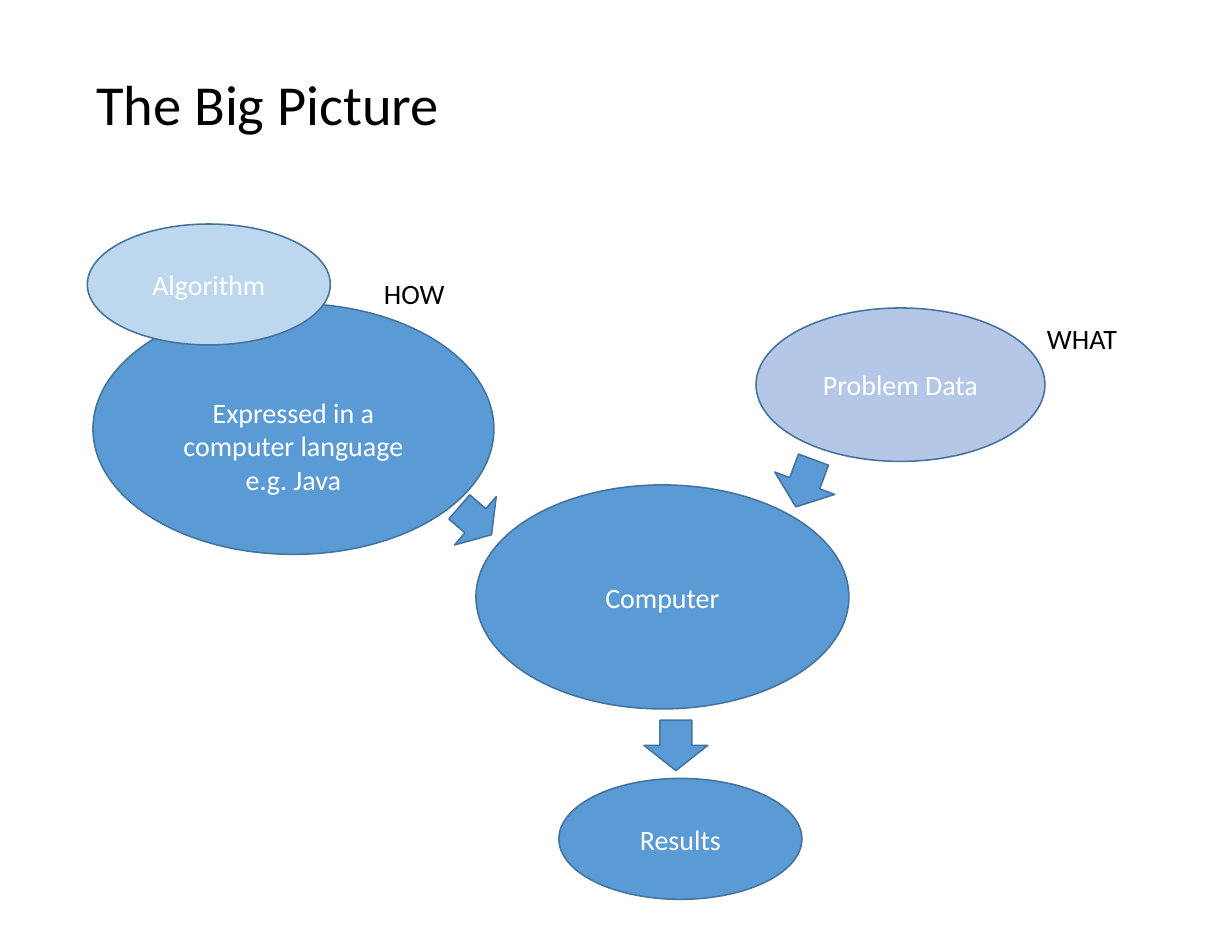
from pptx import Presentation
from pptx.dml.color import RGBColor
from pptx.enum.shapes import MSO_SHAPE as Shape
from pptx.enum.text import MSO_ANCHOR as Anchor, PP_ALIGN as Align
from pptx.util import Inches, Pt

BLUE, OUTLINE, WHITE, BLACK = "5B9BD5", "43739E", "FFFFFF", "000000"
TITLE = ("The Big Picture", (0.76, 0.45, 9.49, 1.02))
ELLIPSES = [
    ("Expressed in a computer language\ne.g. Java", (0.83, 2.71, 3.58, 2.24), BLUE, 0.35),
    ("Computer", (4.25, 4.33, 3.33, 2), BLUE, 0.05),
    ("Algorithm", (0.78, 2, 2.17, 1.08), "BDD7EE", 0.05),
    ("Problem Data", (6.75, 2.75, 2.58, 1.37), "B4C7E7", 0.05),
    ("Results", (4.99, 6.95, 2.17, 1.08), BLUE, 0.05),
]
ARROWS = [
    ((3.96, 4.46, 0.57, 0.38), 310.8),
    ((6.9, 4.09, 0.57, 0.45), 20.5),
    ((5.75, 6.43, 0.57, 0.45), 0),
]
LABELS = [
    ("HOW", (3.33, 2.42, 1.42, 0.4), True),
    ("WHAT", (9.25, 2.82, 0.83, 0.4), False),
]


def color(value):
    """Return the colour of a hex string."""
    return RGBColor.from_string(value)


def write(shape, text, size=18, fill=BLACK, align=Align.LEFT, anchor=Anchor.TOP,
          wrap=True, top=0.05, spacing=1.0):
    """Put formatted text into a shape."""
    frame = shape.text_frame
    frame.text = text
    frame.word_wrap = wrap
    frame.vertical_anchor = anchor
    frame.margin_top = Inches(top)
    for paragraph in frame.paragraphs:
        paragraph.alignment = align
        paragraph.line_spacing = spacing
        for run in paragraph.runs:
            run.font.name = "Calibri"
            run.font.size = Pt(size)
            run.font.color.rgb = color(fill)


def add_shape(slide, kind, box, fill):
    """Add a filled, outlined preset shape."""
    shape = slide.shapes.add_shape(kind, *map(Inches, box))
    shape.shadow.inherit = False
    shape.fill.solid()
    shape.fill.fore_color.rgb = color(fill)
    shape.line.color.rgb = color(OUTLINE)
    shape.line.width = Pt(1)
    return shape


presentation = Presentation()
presentation.slide_width, presentation.slide_height = Inches(11), Inches(8.5)
slide = presentation.slides.add_slide(presentation.slide_layouts[5])

title = slide.shapes.title
text, box = TITLE
title.left, title.top, title.width, title.height = map(Inches, box)
write(title, text, size=36.3, anchor=Anchor.MIDDLE, spacing=0.9)

for text, box, fill, top in ELLIPSES:
    ellipse = add_shape(slide, Shape.OVAL, box, fill)
    write(ellipse, text, fill=WHITE, align=Align.CENTER, anchor=Anchor.MIDDLE, top=top)

for box, angle in ARROWS:
    add_shape(slide, Shape.DOWN_ARROW, box, BLUE).rotation = angle

for text, box, wrap in LABELS:
    write(slide.shapes.add_textbox(*map(Inches, box)), text, wrap=wrap)

presentation.save("out.pptx")
